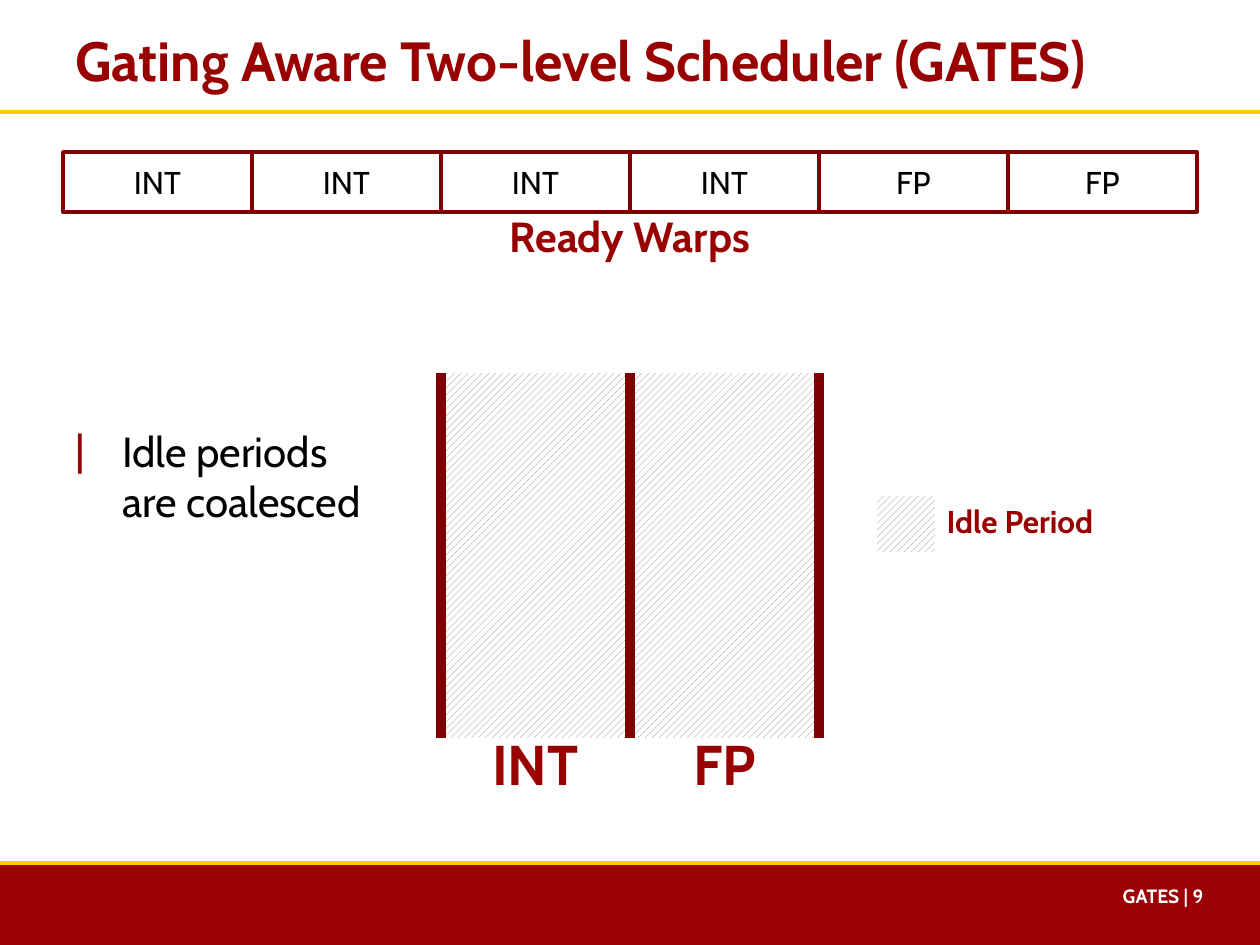
from dataclasses import dataclass

from lxml import etree
from pptx import Presentation
from pptx import util as u
from pptx.dml.color import RGBColor
from pptx.enum import dml, shapes, text
from pptx.oxml.ns import qn

PX_PER_INCH = 126
FONT = "Cabin"
COLORS = {
    "cardinal": "9A0004",
    "heading": "990000",
    "border": "800000",
    "gold": "FFCC00",
    "hatch": "808080",
    "white": "FFFFFF",
    "black": "000000",
}
CENTER, LEFT, RIGHT = text.PP_ALIGN.CENTER, text.PP_ALIGN.LEFT, text.PP_ALIGN.RIGHT
MIDDLE, TOP = text.MSO_ANCHOR.MIDDLE, text.MSO_ANCHOR.TOP


@dataclass(frozen=True)
class Box:
    x: int
    y: int
    w: int
    h: int


@dataclass(frozen=True)
class Label:
    text: str
    box: Box
    size: float
    color: str = "heading"
    bold: bool = True
    align: text.PP_ALIGN = CENTER
    anchor: text.MSO_ANCHOR = MIDDLE


def px(n: int) -> u.Emu:
    return u.Emu(round(n * u.Inches(1) / PX_PER_INCH))


def rgb(name: str) -> RGBColor:
    return RGBColor.from_string(COLORS[name])


def place(box: Box) -> tuple:
    return px(box.x), px(box.y), px(box.w), px(box.h)


def write(shape, label: Label):
    """Put the label's text into a shape and return its paragraph."""
    tf = shape.text_frame
    for name, value in {"word_wrap": True, "vertical_anchor": label.anchor}.items():
        setattr(tf, name, value)
    p = tf.paragraphs[0]
    p.text, p.alignment = label.text, label.align
    for r in p.runs:
        for name, value in {"name": FONT, "size": u.Pt(label.size), "bold": label.bold}.items():
            setattr(r.font, name, value)
        r.font.color.rgb = rgb(label.color)
    return p


def add_label(s, label: Label):
    return write(s.shapes.add_textbox(*place(label.box)), label)


def add_rect(s, box: Box, fill: str):
    sp = s.shapes.add_shape(shapes.MSO_SHAPE.RECTANGLE, *place(box))
    sp.shadow.inherit = False
    sp.fill.solid()
    sp.fill.fore_color.rgb = rgb(fill)
    sp.line.fill.background()
    return sp


def add_idle(s, box: Box):
    """Add a hatched rectangle that stands for idle time."""
    sp = add_rect(s, box, "white")
    sp.fill.patterned()
    sp.fill.pattern = dml.MSO_PATTERN.WIDE_UPWARD_DIAGONAL
    sp.fill.fore_color.rgb = rgb("hatch")
    sp.fill.back_color.rgb = rgb("white")
    return sp


def add_warp(s, label: Label) -> None:
    sp = add_rect(s, label.box, "white")
    sp.line.color.rgb = rgb("border")
    sp.line.width = u.Pt(2)
    write(sp, label)


def add_wall(s, x: int, top: int, bottom: int):
    line = s.shapes.add_connector(
        shapes.MSO_CONNECTOR.STRAIGHT, px(x), px(top), px(x), px(bottom))
    line.line.color.rgb = rgb("border")
    line.line.width = u.Pt(6)
    etree.SubElement(line._element.spPr, qn("a:effectLst"))
    return line


def add_bullet(p, char: str, color: str, indent: int) -> None:
    pPr = p._p.get_or_add_pPr()
    pPr.set("marL", str(px(indent)))
    pPr.set("indent", str(-px(indent)))
    bu_color = etree.SubElement(pPr, qn("a:buClr"))
    etree.SubElement(bu_color, qn("a:srgbClr")).set("val", COLORS[color])
    etree.SubElement(pPr, qn("a:buFont")).set("typeface", FONT)
    etree.SubElement(pPr, qn("a:buChar")).set("char", char)


SLIDE_W, SLIDE_H = 1260, 945
MARGIN, COLUMN = 63, 189
FOOTER_TOP, RULE_H = 861, 4
WARPS = ["INT", "INT", "INT", "INT", "FP", "FP"]
UNITS = ["INT", "FP"]
LANES = Box(MARGIN + 2 * COLUMN, 373, len(UNITS) * COLUMN, 365)

LABELS = [
    Label("Gating Aware Two-level Scheduler (GATES)", Box(MARGIN, 9, 1134, 100),
          31.5, align=LEFT),
    Label("Ready Warps", Box(LANES.x, 184, LANES.w, 103), 24),
    Label("Idle Period", Box(926, 458, 188, 126), 18),
    Label("GATES | 9", Box(992, 878, 224, 44), 11, "white", align=RIGHT, anchor=TOP),
]
NOTE = Label("Idle periods\nare coalesced", Box(MARGIN, 419, 360, 115), 24, "black",
             bold=False, align=LEFT, anchor=TOP)


def main() -> None:
    prs = Presentation()
    prs.slide_width, prs.slide_height = px(SLIDE_W), px(SLIDE_H)
    s = prs.slides.add_slide(prs.slide_layouts[6])

    add_rect(s, Box(0, FOOTER_TOP, SLIDE_W, SLIDE_H - FOOTER_TOP), "cardinal")
    for y in (FOOTER_TOP, 110):
        add_rect(s, Box(0, y, SLIDE_W, RULE_H), "gold")

    for i, warp in enumerate(WARPS):
        box = Box(MARGIN + i * COLUMN, 152, COLUMN, 60)
        add_warp(s, Label(warp, box, 18, "black", bold=False))

    idle = add_idle(s, LANES)
    bottom = LANES.y + LANES.h
    walls = [add_wall(s, LANES.x + i * COLUMN, LANES.y, bottom)
             for i in range(len(UNITS) + 1)]
    walls[1].begin_connect(idle, 0)
    walls[1].end_connect(idle, 2)
    for i, unit in enumerate(UNITS):
        add_label(s, Label(unit, Box(LANES.x + i * COLUMN, 700, COLUMN, 126), 32))

    add_idle(s, Box(877, 496, 58, 56))
    for label in LABELS:
        add_label(s, label)
    add_bullet(add_label(s, NOTE), "|", "heading", 47)

    prs.save("out.pptx")


if __name__ == "__main__":
    main()
